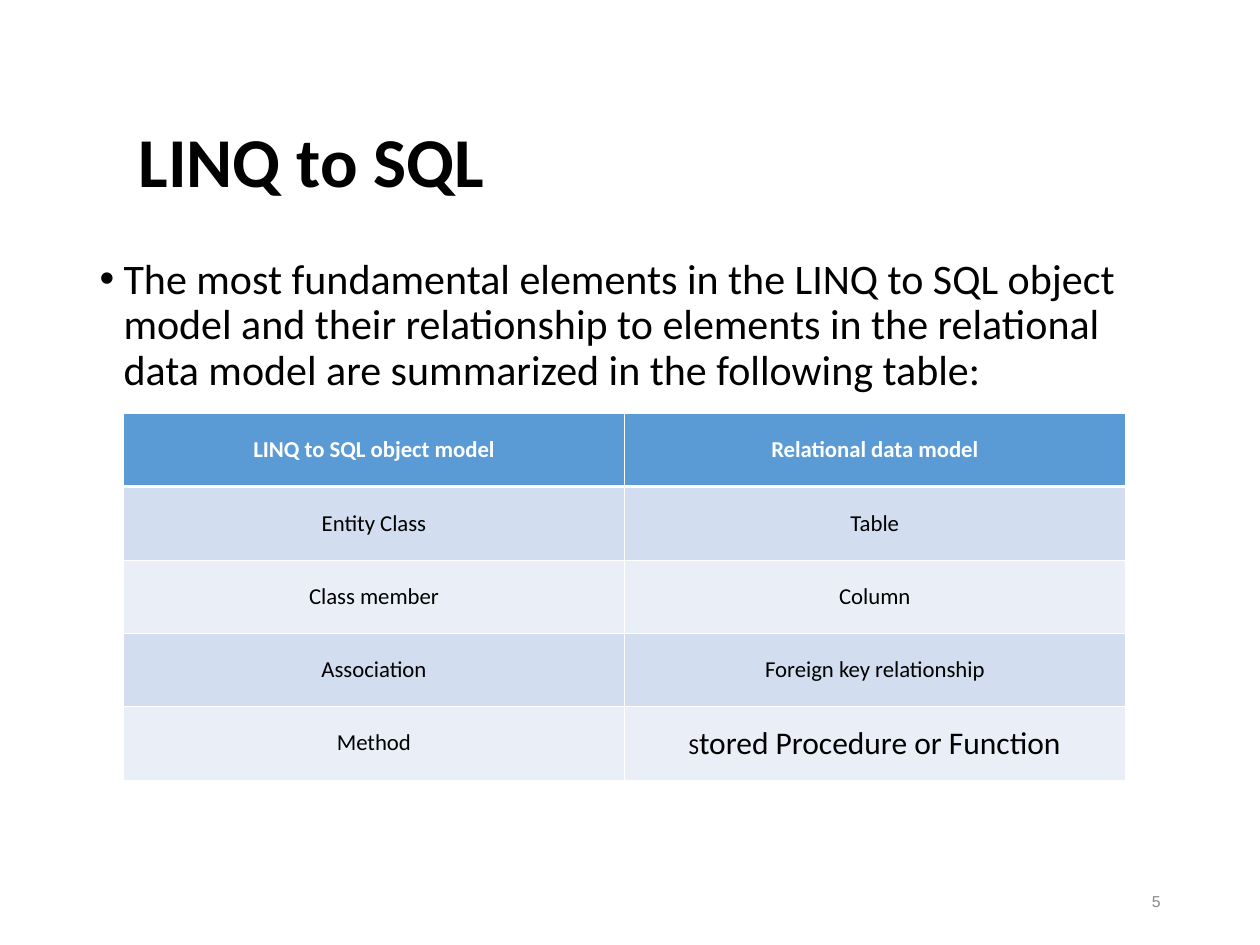
from lxml import etree
from pptx import Presentation
from pptx.dml.color import RGBColor
from pptx.enum.text import MSO_ANCHOR as Anchor, MSO_AUTO_SIZE as Fit, PP_ALIGN as Align
from pptx.oxml.ns import qn
from pptx.util import Inches, Pt

TITLE = "LINQ to SQL"
BODY = ("The most fundamental elements in the LINQ to SQL\u00a0object model and their "
        "relationship to elements in the relational data model are\u00a0summarized "
        "in the following table:")
PAGE = "5"
# Each cell is a list of (text, size) runs.
SMALL, LARGE = 13, 18
ROWS = [
    ([("LINQ to SQL object model", SMALL)], [("Relational data model", SMALL)]),
    ([("Entity Class", SMALL)], [("Table", SMALL)]),
    ([("Class member", SMALL)], [("Column", SMALL)]),
    ([("Association", SMALL)], [("Foreign key relationship", SMALL)]),
    ([("Method", SMALL)], [("S", SMALL), ("tored Procedure or Function", LARGE)]),
]

BLACK = RGBColor(0, 0, 0)
WHITE = RGBColor(255, 255, 255)
GREY = RGBColor(0x89, 0x89, 0x89)
HEAD = RGBColor(0x5B, 0x9B, 0xD5)
BANDS = [RGBColor(0xEA, 0xEF, 0xF7), RGBColor(0xD2, 0xDE, 0xEF)]
THIN, THICK = 0.45, 1.47


def place(shape, left, top, width, height):
    shape.left, shape.top = Inches(left), Inches(top)
    shape.width, shape.height = Inches(width), Inches(height)


def style(font, size, color, name="Calibri", bold=False):
    font.name, font.size, font.bold = name, Pt(size), bold
    font.color.rgb = color


def write(shape, text, anchor, align):
    """Fill the shape with one paragraph and return it."""
    frame = shape.text_frame
    frame.word_wrap, frame.auto_size = True, Fit.NONE
    frame.vertical_anchor = anchor
    para = frame.paragraphs[0]
    para.text, para.alignment = text, align
    return para


def edge(cell, tag, width):
    props = cell._tc.get_or_add_tcPr()
    line = etree.SubElement(props, qn("a:" + tag), w=str(Pt(width)))
    fill = etree.SubElement(line, qn("a:solidFill"))
    etree.SubElement(fill, qn("a:srgbClr"), val=str(WHITE))


def fill_cell(cell, runs, row):
    edge(cell, "lnL", THIN)
    edge(cell, "lnR", THIN)
    edge(cell, "lnT", THICK if row == 1 else THIN)
    edge(cell, "lnB", THICK if row == 0 else THIN)
    cell.fill.solid()
    cell.fill.fore_color.rgb = BANDS[row % 2] if row else HEAD
    cell.vertical_anchor = Anchor.MIDDLE
    para = cell.text_frame.paragraphs[0]
    para.alignment = Align.CENTER
    for text, size in runs:
        run = para.add_run()
        run.text = text
        style(run.font, size, BLACK if row else WHITE, bold=row == 0)


def main():
    deck = Presentation()
    deck.slide_width, deck.slide_height = Inches(10), Inches(7.5)
    slide = deck.slides.add_slide(deck.slide_layouts[1])
    title, body = slide.placeholders

    place(title, 1, 0.58, 8.63, 1.45)
    para = write(title, TITLE, Anchor.MIDDLE, Align.LEFT)
    para.line_spacing = 0.9
    style(para.font, 40, BLACK, bold=True)

    place(body, 0.69, 2, 8.63, 4.76)
    para = write(body, BODY, Anchor.TOP, Align.LEFT)
    para.line_spacing, para.space_before = 0.9, Pt(7.5)
    style(para.font, 24, BLACK)
    props = para._p.get_or_add_pPr()
    props.set("marL", str(Inches(0.19)))
    props.set("indent", str(-Inches(0.19)))

    number = slide.shapes.add_textbox(0, 0, 0, 0)
    place(number, 7.06, 6.95, 2.25, 0.4)
    para = write(number, PAGE, Anchor.MIDDLE, Align.RIGHT)
    style(para.font, 9, GREY, "Arial")

    frame = slide.shapes.add_table(len(ROWS), len(ROWS[0]), Inches(0.98), Inches(3.28),
                                   Inches(7.95), Inches(2.91))
    for r, row in enumerate(ROWS):
        for c, runs in enumerate(row):
            fill_cell(frame.table.cell(r, c), runs, r)

    deck.save("out.pptx")


if __name__ == "__main__":
    main()
